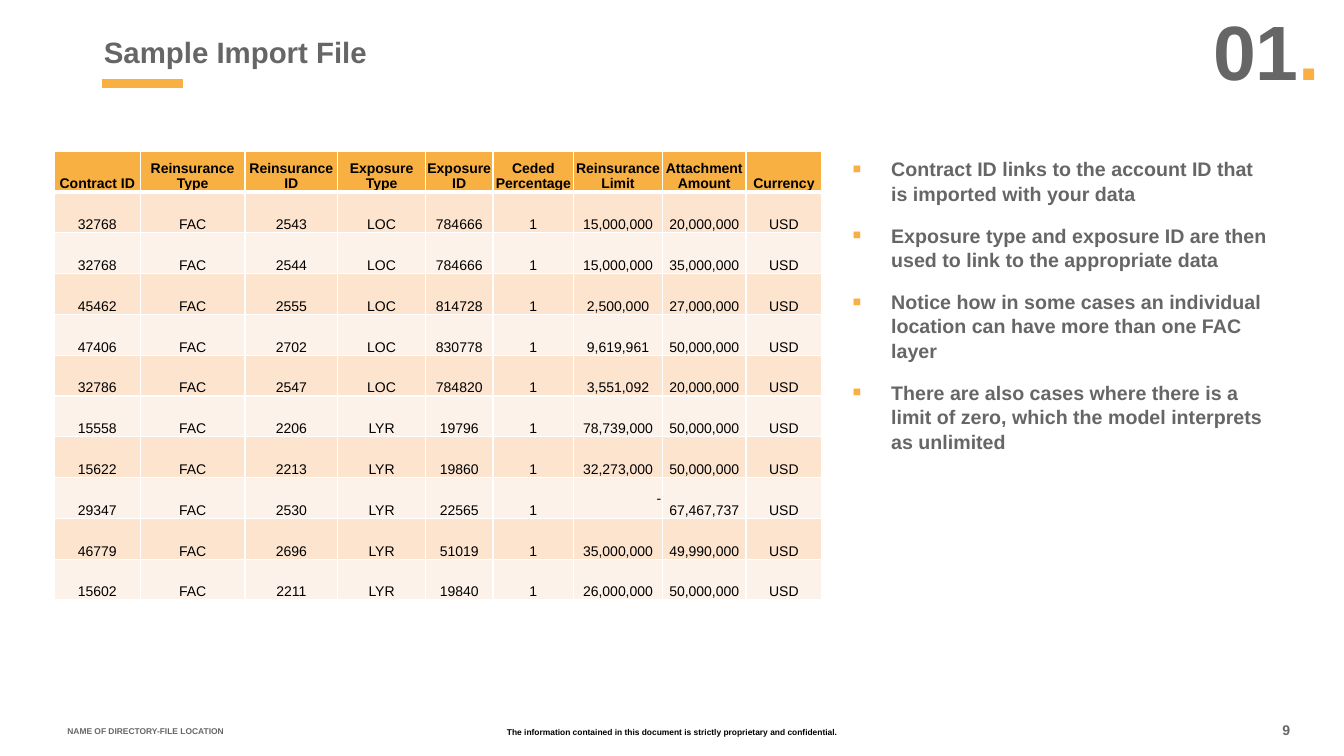
from lxml import etree
from pptx import Presentation
from pptx import util as u
from pptx.dml.color import RGBColor
from pptx.enum import shapes, text
from pptx.oxml import ns

GREY, ORANGE, BLACK, WHITE = "666666", "F7B041", "000000", "FFFFFF"
BANDS = ["FCE4CF", "FDF2E9"]
LEFT, CENTER, RIGHT = text.PP_ALIGN.LEFT, text.PP_ALIGN.CENTER, text.PP_ALIGN.RIGHT
TOP, MIDDLE, BOTTOM = text.MSO_ANCHOR.TOP, text.MSO_ANCHOR.MIDDLE, text.MSO_ANCHOR.BOTTOM

HEADINGS = ["Contract ID", "Reinsurance Type", "Reinsurance ID", "Exposure Type", "Exposure ID",
            "Ceded Percentage", "Reinsurance Limit", "Attachment Amount", "Currency"]
COLUMN_SHARES = [6.38, 7.8, 6.9, 6.53, 5.03, 6, 6.6, 6.23, 5.63]
CONTRACTS = [
    ("32768", "2543", "LOC", "784666", "15,000,000", "20,000,000"),
    ("32768", "2544", "LOC", "784666", "15,000,000", "35,000,000"),
    ("45462", "2555", "LOC", "814728", "2,500,000", "27,000,000"),
    ("47406", "2702", "LOC", "830778", "9,619,961", "50,000,000"),
    ("32786", "2547", "LOC", "784820", "3,551,092", "20,000,000"),
    ("15558", "2206", "LYR", "19796", "78,739,000", "50,000,000"),
    ("15622", "2213", "LYR", "19860", "32,273,000", "50,000,000"),
    ("29347", "2530", "LYR", "22565", "-", "67,467,737"),
    ("46779", "2696", "LYR", "51019", "35,000,000", "49,990,000"),
    ("15602", "2211", "LYR", "19840", "26,000,000", "50,000,000"),
]
REMARKS = [
    "Contract ID links to the account ID that is imported with your data",
    "Exposure type and exposure ID are then used to link to the appropriate data",
    "Notice how in some cases an individual location can have more than one FAC layer",
    "There are also cases where there is a limit of zero, which the model interprets as unlimited",
]


def color(value):
    return RGBColor.from_string(value)


class Page:
    """Places are left, top, width and height in percent of the slide."""

    font = "Arial"

    def __init__(self):
        self.deck = Presentation()
        self.deck.slide_width, self.deck.slide_height = u.Inches(13.33), u.Inches(7.5)
        self.slide = self.deck.slides.add_slide(self.deck.slide_layouts[5])

    def across(self, share):
        return int(self.deck.slide_width * share / 100)

    def down(self, share):
        return int(self.deck.slide_height * share / 100)

    def place(self, left, top, width, height):
        return self.across(left), self.down(top), self.across(width), self.down(height)

    def style(self, paragraph, size, tint, bold=True, align=LEFT):
        paragraph.alignment = align
        for run in paragraph.runs:
            run.font.name, run.font.size, run.font.bold = self.font, u.Pt(size), bold
            run.font.color.rgb = color(tint)

    def title(self, words, place, size):
        heading = self.slide.shapes.title
        heading.left, heading.top, heading.width, heading.height = self.place(*place)
        frame = heading.text_frame
        frame.text = words
        frame.vertical_anchor, frame.auto_size = MIDDLE, text.MSO_AUTO_SIZE.NONE
        self.style(frame.paragraphs[0], size, GREY)

    def label(self, words, place, size, tint=GREY, align=LEFT, anchor=MIDDLE, wrap=True):
        frame = self.slide.shapes.add_textbox(*self.place(*place)).text_frame
        frame.text = words
        frame.word_wrap, frame.vertical_anchor = wrap, anchor
        for paragraph in frame.paragraphs:
            self.style(paragraph, size, tint, align=align)
        return frame

    def bar(self, place, tint):
        rule = self.slide.shapes.add_shape(shapes.MSO_SHAPE.RECTANGLE, *self.place(*place))
        rule.shadow.inherit = False
        rule.fill.solid()
        rule.fill.fore_color.rgb = rule.line.color.rgb = color(tint)
        rule.line.width = u.Pt(1)

    def bullets(self, items, place, size):
        frame = self.label("\n".join(items), place, size, anchor=TOP)
        for index, paragraph in enumerate(frame.paragraphs):
            props = paragraph._p.get_or_add_pPr()
            props.set("marL", str(u.Inches(0.38)))
            props.set("indent", str(-u.Inches(0.38)))
            tint = etree.SubElement(props, ns.qn("a:buClr"))
            etree.SubElement(tint, ns.qn("a:srgbClr"), val=ORANGE)
            etree.SubElement(props, ns.qn("a:buSzPct"), val="70000")
            etree.SubElement(props, ns.qn("a:buFont"), typeface=self.font)
            etree.SubElement(props, ns.qn("a:buChar"), char="■")
            paragraph.line_spacing = 1.05
            if index:
                paragraph.space_before = u.Pt(12)

    def borders(self, cell, bottom):
        props = cell._tc.get_or_add_tcPr()
        for side, width in zip("LRTB", (1, 1, 1, bottom)):
            edge = etree.SubElement(props, ns.qn(f"a:ln{side}"), w=str(u.Pt(width)))
            fill = etree.SubElement(edge, ns.qn("a:solidFill"))
            etree.SubElement(fill, ns.qn("a:srgbClr"), val=WHITE)

    def cell(self, cell, words, fill, header):
        self.borders(cell, 3 if header else 1)
        cell.fill.solid()
        cell.fill.fore_color.rgb = color(fill)
        cell.margin_left = cell.margin_right = cell.margin_top = u.Inches(0.01)
        cell.margin_bottom = 0
        empty = words == "-"
        cell.vertical_anchor = MIDDLE if empty else BOTTOM
        cell.text_frame.text = words
        self.style(cell.text_frame.paragraphs[0], 10, BLACK, header, RIGHT if empty else CENTER)

    def table(self, rows, left, top, column_shares, row_share):
        place = self.place(left, top, sum(column_shares), row_share * len(rows))
        grid = self.slide.shapes.add_table(len(rows), len(column_shares), *place).table
        for column, share in zip(grid.columns, column_shares):
            column.width = self.across(share)
        for r, row in enumerate(rows):
            grid.rows[r].height = self.down(row_share)
            fill = BANDS[(r - 1) % 2] if r else ORANGE
            for c, words in enumerate(row):
                self.cell(grid.cell(r, c), words, fill, r == 0)


def main():
    page = Page()
    page.label("The information contained in this document is strictly proprietary and confidential.",
               (36.91, 95.47, 26.18, 2.67), 6, BLACK, CENTER, wrap=False)
    page.label("9", (94.67, 94.93, 5.3, 3.33), 10)
    page.label("NAME OF DIRECTORY-FILE LOCATION", (4.28, 95.6, 27, 2.13), 6)
    page.bar((7.65, 10.53, 5.93, 1.07), ORANGE)

    section = page.label("01", (87.47, -1.2, 11.48, 13.73), 55, align=RIGHT, anchor=TOP)
    section.margin_top = u.Inches(0.08)
    number = section.paragraphs[0]
    number.line_spacing = 1.05
    number.add_run().text = "."
    page.style(number, 55, GREY, align=RIGHT)
    number.runs[1].font.color.rgb = color(ORANGE)

    page.title("Sample Import File", (6.98, 3.73, 80.57, 6.13), 21)
    rows = [HEADINGS] + [
        [contract, "FAC", reinsurance, exposure, exposure_id, "1", limit, attachment, "USD"]
        for contract, reinsurance, exposure, exposure_id, limit, attachment in CONTRACTS
    ]
    page.table(rows, 4.05, 20, COLUMN_SHARES, 5.4)
    page.bullets(REMARKS, (62.72, 20, 32.93, 62), 14)
    page.deck.save("out.pptx")


if __name__ == "__main__":
    main()
